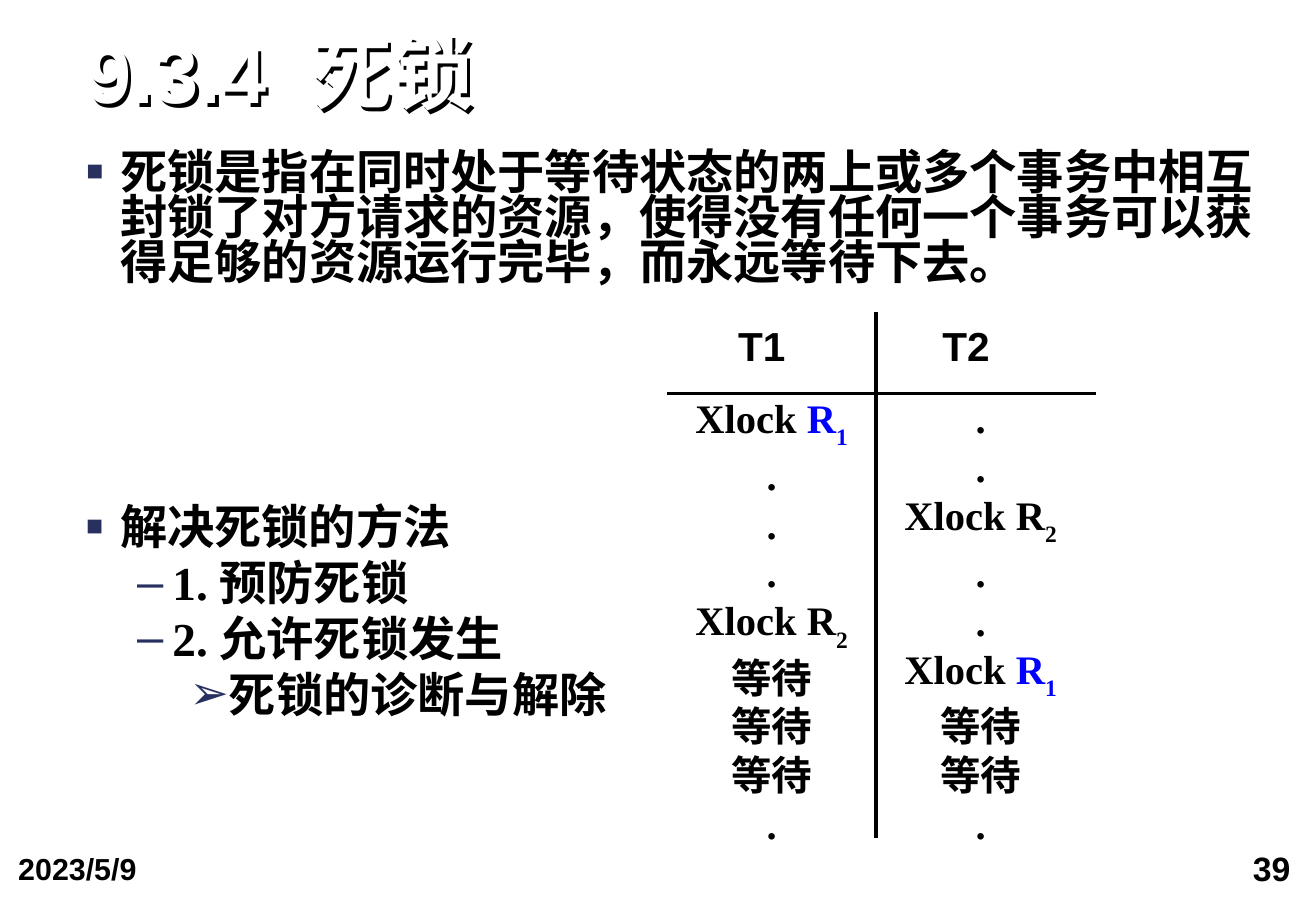
from lxml import etree
from pptx import Presentation
from pptx.dml.color import RGBColor
from pptx.enum.shapes import MSO_CONNECTOR
from pptx.enum.text import MSO_ANCHOR, MSO_AUTO_SIZE, PP_ALIGN
from pptx.oxml.ns import qn
from pptx.util import Inches, Pt

STRAIGHT = MSO_CONNECTOR.STRAIGHT
TOP, MIDDLE, BOTTOM = MSO_ANCHOR.TOP, MSO_ANCHOR.MIDDLE, MSO_ANCHOR.BOTTOM
LEFT, CENTER, RIGHT = PP_ALIGN.LEFT, PP_ALIGN.CENTER, PP_ALIGN.RIGHT
NO_FIT = MSO_AUTO_SIZE.NONE

BLACK = RGBColor(0x00, 0x00, 0x00)
WHITE = RGBColor(0xFF, 0xFF, 0xFF)
BLUE = RGBColor(0x00, 0x00, 0xFF)
NAVY = RGBColor(0x27, 0x30, 0x5F)
SANS, SERIF = "Arial", "Times New Roman"

TITLE = "9.3.4  死锁"
DEFINITION = ("死锁是指在同时处于等待状态的两上或多个事务中相互封锁了对方请求的资源，"
              "使得没有任何一个事务可以获得足够的资源运行完毕，而永远等待下去。")
# Level and text of each line
METHODS = [(0, "解决死锁的方法"), (1, "1. 预防死锁"),
           (1, "2. 允许死锁发生"), (2, "死锁的诊断与解除")]
# Bullet sign, size in percent, text indent and hanging indent by level
LEVELS = [("■", 60, 0.28, 0.28), ("–", 100, 0.71, 0.29), ("➢", 100, 1.12, 0.27)]

# A lock step is (resource number, colour of the resource)
LOCK_R1, LOCK_R2 = ("1", BLUE), ("2", BLACK)
SCHEDULE = {
    "T1": [LOCK_R1, ".", ".", ".", LOCK_R2, "等待", "等待", "等待", "."],
    "T2": [".", ".", LOCK_R2, ".", ".", LOCK_R1, "等待", "等待", "."],
}
TABLE_LEFT, TABLE_RIGHT, COLUMN_WIDTH = 5.49, 9.02, 1.72
LABEL_CENTER, LABEL_GAP = 6.27, 1.68


def add_run(paragraph, text, size, font_name, color=BLACK):
    run = paragraph.add_run()
    run.text = text
    font = run.font
    font.size, font.bold, font.name = Pt(size), True, font_name
    font.color.rgb = color
    properties = run._r.get_or_add_rPr()
    # Chinese characters are always sans serif
    east_asian = etree.Element(qn("a:ea"), typeface=SANS)
    properties.find(qn("a:latin")).addnext(east_asian)
    return properties


def format_frame(frame, anchor, margins=(0, 0)):
    frame.auto_size = NO_FIT
    frame.word_wrap = True
    frame.vertical_anchor = anchor
    frame.margin_left = frame.margin_right = Inches(margins[0])
    frame.margin_top = frame.margin_bottom = Inches(margins[1])


def add_text_frame(slide, left, top, width, height, anchor=TOP, margins=(0, 0)):
    box = slide.shapes.add_textbox(Inches(left), Inches(top),
                                   Inches(width), Inches(height))
    format_frame(box.text_frame, anchor, margins)
    return box.text_frame


def add_label(slide, place, text, size, align, margins=(0, 0)):
    paragraph = add_text_frame(slide, *place, margins=margins).paragraphs[0]
    paragraph.alignment = align
    add_run(paragraph, text, size, SANS)


def add_line(slide, start, end):
    line = slide.shapes.add_connector(
        STRAIGHT, *(Inches(value) for value in (*start, *end)))
    line.line.color.rgb = BLACK
    line.line.width = Pt(2.25)
    etree.SubElement(line._element.spPr, qn("a:effectLst"))


def set_bullet(paragraph, level):
    sign, percent, indent, hanging = LEVELS[level]
    properties = paragraph._p.get_or_add_pPr()
    properties.set("marL", str(Inches(indent)))
    properties.set("indent", str(-Inches(hanging)))
    color = etree.SubElement(properties, qn("a:buClr"))
    etree.SubElement(color, qn("a:srgbClr"), val=str(NAVY))
    etree.SubElement(properties, qn("a:buSzPct"), val=str(percent * 1000))
    etree.SubElement(properties, qn("a:buFont"), typeface=SANS)
    etree.SubElement(properties, qn("a:buChar"), char=sign)
    paragraph.level = level


def next_paragraph(frame, index):
    return frame.add_paragraph() if index else frame.paragraphs[0]


def add_bullets(slide, top, width, height, items, line_height):
    frame = add_text_frame(slide, 0.71, top, width, height)
    for index, (level, text) in enumerate(items):
        paragraph = next_paragraph(frame, index)
        set_bullet(paragraph, level)
        paragraph.line_spacing = Pt(line_height)
        paragraph.space_before = Pt(9.8 if index else 0)
        add_run(paragraph, text, 28, SERIF)


def add_steps(slide, left, steps):
    frame = add_text_frame(slide, left, 3.19, COLUMN_WIDTH, 3.83, MIDDLE)
    for index, step in enumerate(steps):
        paragraph = next_paragraph(frame, index)
        paragraph.alignment = CENTER
        if isinstance(step, str):
            paragraph.line_spacing = Pt(28.8)
            add_run(paragraph, step, 24, SERIF)
            continue
        # Lines with a subscript are taller
        number, color = step
        paragraph.line_spacing = Pt(33.8)
        add_run(paragraph, "Xlock ", 24, SERIF)
        add_run(paragraph, "R", 24, SERIF, color)
        subscript = add_run(paragraph, number, 24, SERIF, color)
        subscript.set("baseline", "-30000")


def set_title(slide):
    title = slide.shapes.title
    title.left, title.top = Inches(0.71), Inches(0.28)
    title.width, title.height = Inches(9.65), Inches(0.72)
    title.fill.background()
    title.line.fill.background()
    format_frame(title.text_frame, BOTTOM)
    paragraph = title.text_frame.paragraphs[0]
    paragraph.alignment = LEFT
    paragraph.line_spacing = 0.9
    add_run(paragraph, TITLE, 48, SANS, WHITE)
    # Dark shadow that makes the white letters visible
    effects = etree.SubElement(title._element.spPr, qn("a:effectLst"))
    shadow = etree.SubElement(effects, qn("a:outerShdw"), dist=str(Pt(2.83)),
                              dir="2700000", algn="ctr", rotWithShape="0")
    etree.SubElement(shadow, qn("a:srgbClr"), val=str(BLACK))


def main():
    presentation = Presentation()
    presentation.slide_width, presentation.slide_height = Inches(10.83), Inches(7.5)
    slide = presentation.slides.add_slide(presentation.slide_layouts[5])
    slide.background.fill.solid()
    slide.background.fill.fore_color.rgb = WHITE

    # Title and bullets
    set_title(slide)
    add_bullets(slide, 1.27, 9.65, 1.2, [(0, DEFINITION)], 26.7)
    add_bullets(slide, 4.24, 4.7, 1.8, METHODS, 23.3)

    # Schedule of the two transactions
    middle = TABLE_LEFT + COLUMN_WIDTH
    add_line(slide, (TABLE_LEFT, 3.24), (TABLE_RIGHT, 3.24))
    add_line(slide, (middle, 2.57), (middle, 6.9))
    for index, (name, steps) in enumerate(SCHEDULE.items()):
        label_left = LABEL_CENTER + index * LABEL_GAP - 0.5
        add_label(slide, (label_left, 2.64, 1, 0.46), name, 24, CENTER)
        add_steps(slide, TABLE_LEFT + index * COLUMN_WIDTH, steps)

    # Date and slide number
    add_label(slide, (0.02, 6.94, 2.51, 0.5), "2023/5/9", 18, LEFT, (0.13, 0.06))
    add_label(slide, (8.01, 6.92, 2.74, 0.5), "39", 20, RIGHT, (0.13, 0.06))

    presentation.save("out.pptx")


if __name__ == "__main__":
    main()
